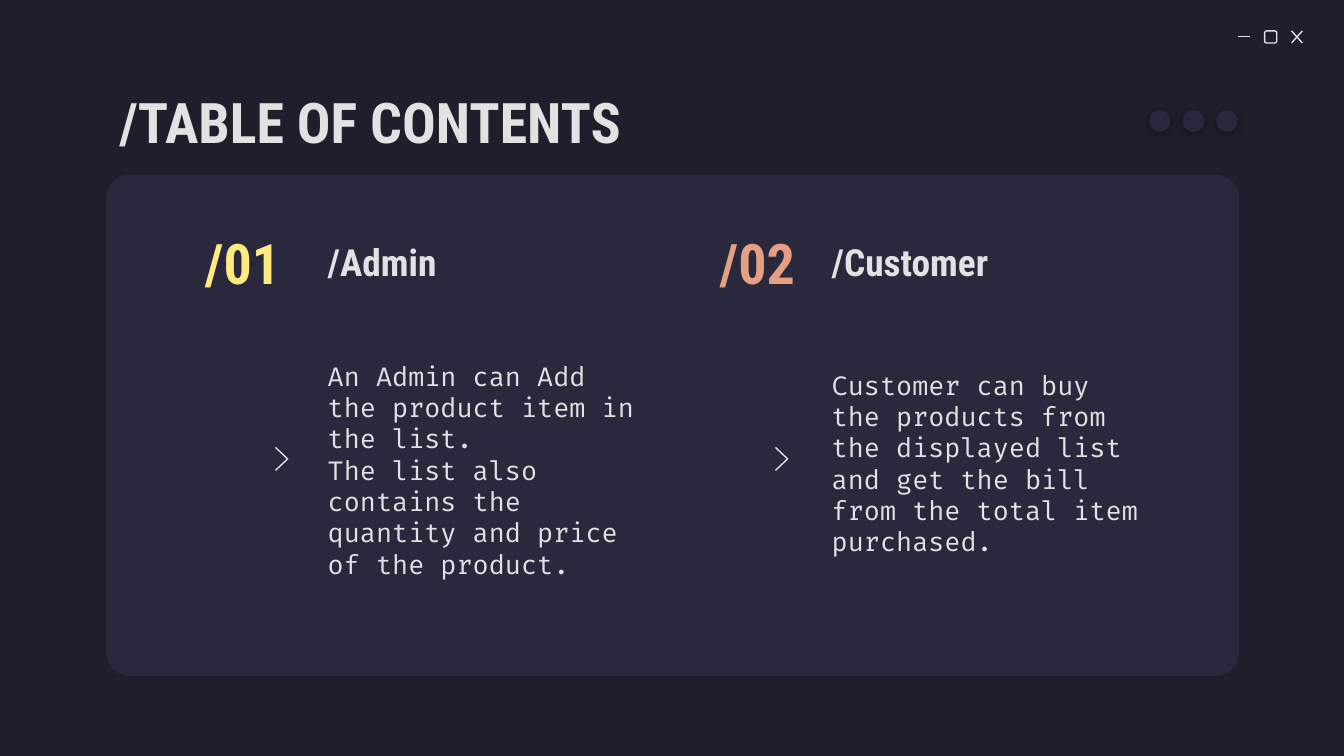
from lxml.etree import SubElement
from pptx import Presentation
from pptx.dml.color import RGBColor
from pptx.enum.shapes import MSO_CONNECTOR, MSO_SHAPE
from pptx.enum.text import MSO_ANCHOR, PP_ALIGN
from pptx.oxml.ns import qn
from pptx.util import Inches, Pt

BACKGROUND = RGBColor(0x1E, 0x1E, 0x2C)
PANEL = RGBColor(0x29, 0x28, 0x3D)
LIGHT = RGBColor(0xE2, 0xE2, 0xE2)
YELLOW = RGBColor(0xFF, 0xEA, 0x7D)
ORANGE = RGBColor(0xE5, 0xA0, 0x83)
HEADING_FONT = "Roboto Condensed"
BODY_FONT = "Fira Code"
OUTLINE = Pt(0.75)


def add_text(slide, box, paragraphs, size, color=LIGHT, font=HEADING_FONT,
             bold=True, align=PP_ALIGN.LEFT):
    frame = slide.shapes.add_textbox(*map(Inches, box)).text_frame
    frame.word_wrap = True
    frame.vertical_anchor = MSO_ANCHOR.MIDDLE
    frame.margin_left = frame.margin_right = Inches(0.1)
    frame.margin_top = frame.margin_bottom = Inches(0.1)
    frame.text = "\n".join(paragraphs)
    for paragraph in frame.paragraphs:
        paragraph.alignment = align
        for run in paragraph.runs:
            run.font.name = font
            run.font.size = Pt(size)
            run.font.bold = bold
            run.font.color.rgb = color


def add_filled(slide, preset, box):
    shape = slide.shapes.add_shape(preset, *map(Inches, box))
    shape.shadow.inherit = False
    shape.fill.solid()
    shape.fill.fore_color.rgb = PANEL
    shape.line.fill.background()
    return shape


def outline(shape):
    shape.line.color.rgb = LIGHT
    shape.line.width = OUTLINE


def add_line(slide, *ends):
    line = slide.shapes.add_connector(MSO_CONNECTOR.STRAIGHT, *map(Inches, ends))
    outline(line)
    SubElement(line._element.spPr, qn("a:effectLst"))


def add_window_buttons(slide):
    """Minimise, maximise and close signs in the top right corner."""
    add_line(slide, 9.21, 0.27, 9.3, 0.27)
    maximise = slide.shapes.add_shape(
        MSO_SHAPE.ROUNDED_RECTANGLE, *map(Inches, (9.41, 0.23, 0.09, 0.09)))
    maximise.shadow.inherit = False
    maximise.fill.background()
    outline(maximise)
    add_line(slide, 9.61, 0.23, 9.69, 0.32)
    add_line(slide, 9.69, 0.23, 9.61, 0.32)


def add_chevron(slide, left):
    top, width, height = 3.33, 0.09, 0.17
    builder = slide.shapes.build_freeform(Inches(left), Inches(top))
    builder.add_line_segments(
        [(Inches(left + width), Inches(top + height / 2)),
         (Inches(left), Inches(top + height))], close=False)
    chevron = builder.convert_to_shape()
    chevron.shadow.inherit = False
    chevron.fill.background()
    outline(chevron)


def add_dot(slide, left):
    dot = add_filled(slide, MSO_SHAPE.OVAL, (left, 0.82, 0.16, 0.16))
    effects = dot._element.spPr.find(qn("a:effectLst"))
    shadow = SubElement(effects, qn("a:outerShdw"), blurRad=str(Pt(4.5)),
                        dist=str(Pt(1.5)), dir="5400000", algn="bl",
                        rotWithShape="0")
    color = SubElement(shadow, qn("a:srgbClr"), val="000000")
    SubElement(color, qn("a:alpha"), val="30000")


def add_section(slide, number, color, number_left, heading, text_left,
                body, body_height):
    heading_top, heading_height, text_width = 1.67, 0.56, 2.56
    add_text(slide, (text_left, heading_top, text_width, heading_height),
             [heading], 20)
    add_text(slide, (number_left, heading_top, 0.91, heading_height),
             [number], 30, color, align=PP_ALIGN.CENTER)
    add_text(slide, (text_left, 2.22, text_width, body_height), body, 14,
             font=BODY_FONT, bold=False)


def main():
    presentation = Presentation()
    presentation.slide_width = Inches(10)
    presentation.slide_height = Inches(5.625)
    slide = presentation.slides.add_slide(presentation.slide_layouts[6])
    slide.background.fill.solid()
    slide.background.fill.fore_color.rgb = BACKGROUND

    panel = add_filled(slide, MSO_SHAPE.ROUNDED_RECTANGLE,
                       (0.79, 1.3, 8.43, 3.73))
    panel.adjustments[0] = 0.047
    add_window_buttons(slide)

    add_section(slide, "/01", YELLOW, 1.35, "/Admin", 2.34,
                ["An Admin can Add the product item in the list.",
                 "The list also contains the quantity and price of the product."],
                2.55)
    add_section(slide, "/02", ORANGE, 5.18, "/Customer", 6.09,
                ["Customer can buy the products from the displayed list and "
                 "get the bill from the total item purchased."],
                2.45)
    add_text(slide, (0.79, 0.59, 8.43, 0.63), ["/TABLE OF CONTENTS"], 30)

    for left in (2.05, 5.77):
        add_chevron(slide, left)
    for index in range(3):
        add_dot(slide, 9.05 - index * 0.25)

    presentation.save("out.pptx")


if __name__ == "__main__":
    main()
